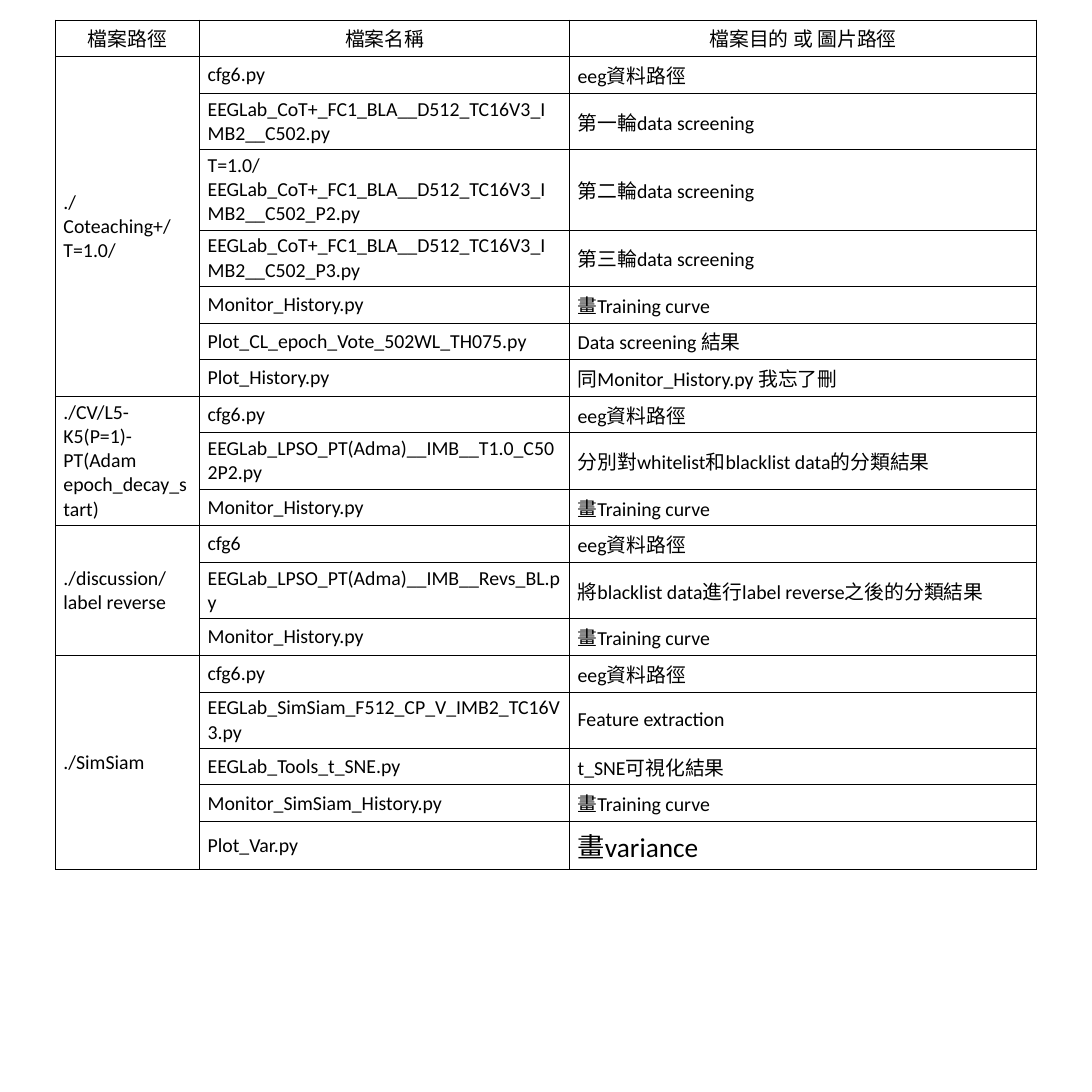
from dataclasses import dataclass
from lxml.etree import SubElement as Sub
from pptx import Presentation
from pptx.dml.color import RGBColor as Rgb
from pptx.enum.text import MSO_ANCHOR as Anchor, PP_ALIGN as Align
from pptx.oxml.ns import qn
from pptx.util import Cm, Pt


@dataclass(frozen=True)
class Theme:
    font: str = "Calibri"
    ink: str = "000000"
    text: float = 18
    large: float = 24.8
    rule: float = 1


THEME = Theme()
SIDE = Cm(35)
COLS = (4.62, 11.86, 14.96)
ROW = Cm(1.04)
HEAD = ("檔案路徑", "檔案名稱", "檔案目的 或 圖片路徑")
DATA = ("cfg6.py", "eeg資料路徑")
CURVE = ("Monitor_History.py", "畫Training curve")
GROUPS = (
    ("./Coteaching+/T=1.0/", (
        DATA,
        ("EEGLab_CoT+_FC1_BLA__D512_TC16V3_IMB2__C502.py", "第一輪data screening"),
        ("T=1.0/EEGLab_CoT+_FC1_BLA__D512_TC16V3_IMB2__C502_P2.py", "第二輪data screening"),
        ("EEGLab_CoT+_FC1_BLA__D512_TC16V3_IMB2__C502_P3.py", "第三輪data screening"),
        CURVE,
        ("Plot_CL_epoch_Vote_502WL_TH075.py", "Data screening 結果"),
        ("Plot_History.py", "同Monitor_History.py 我忘了刪"),
    )),
    ("./CV/L5-K5(P=1)-PT(Adam epoch_decay_start)", (
        DATA,
        ("EEGLab_LPSO_PT(Adma)__IMB__T1.0_C502P2.py", "分別對whitelist和blacklist data的分類結果"),
        CURVE,
    )),
    ("./discussion/label reverse", (
        ("cfg6", "eeg資料路徑"),
        ("EEGLab_LPSO_PT(Adma)__IMB__Revs_BL.py", "將blacklist data進行label reverse之後的分類結果"),
        CURVE,
    )),
    ("./SimSiam", (
        DATA,
        ("EEGLab_SimSiam_F512_CP_V_IMB2_TC16V3.py", "Feature extraction"),
        ("EEGLab_Tools_t_SNE.py", "t_SNE可視化結果"),
        ("Monitor_SimSiam_History.py", "畫Training curve"),
        ("Plot_Var.py", "畫variance"),
    )),
)


def frame(cell):
    props = cell._tc.get_or_add_tcPr()
    for edge in ("lnL", "lnR", "lnT", "lnB"):
        line = Sub(props, qn(f"a:{edge}"), w=str(Pt(THEME.rule)))
        Sub(Sub(line, qn("a:solidFill")), qn("a:srgbClr"), val=THEME.ink)
    cell.fill.background()
    cell.vertical_anchor = Anchor.MIDDLE


def write(cell, text, align=Align.LEFT, size=THEME.text):
    para = cell.text_frame.paragraphs[0]
    para.alignment = align
    run = para.add_run()
    run.text = text
    run.font.name = THEME.font
    run.font.size = Pt(size)
    run.font.color.rgb = Rgb.from_string(THEME.ink)


def file_table(slide, left, top, width):
    count = 1 + sum(len(files) for _, files in GROUPS)
    table = slide.shapes.add_table(count, len(COLS), left, top, width, ROW * count).table
    table.first_row = table.horz_banding = False
    for col, part in zip(table.columns, COLS):
        col.width = int(width * part / sum(COLS))
    for row in table.rows:
        row.height = ROW
    for cell in table.iter_cells():
        frame(cell)
    for col, title in enumerate(HEAD):
        write(table.cell(0, col), title, Align.CENTER)
    row = 1
    for folder, files in GROUPS:
        table.cell(row, 0).merge(table.cell(row + len(files) - 1, 0))
        write(table.cell(row, 0), folder)
        for name, goal in files:
            write(table.cell(row, 1), name)
            size = THEME.large if goal == "畫variance" else THEME.text
            write(table.cell(row, 2), goal, size=size)
            row += 1


def main():
    deck = Presentation()
    deck.slide_width = deck.slide_height = SIDE
    slide = deck.slides.add_slide(deck.slide_layouts[6])
    file_table(slide, Cm(1.78), Cm(0.64), Cm(sum(COLS)))
    deck.save("out.pptx")


if __name__ == "__main__":
    main()
